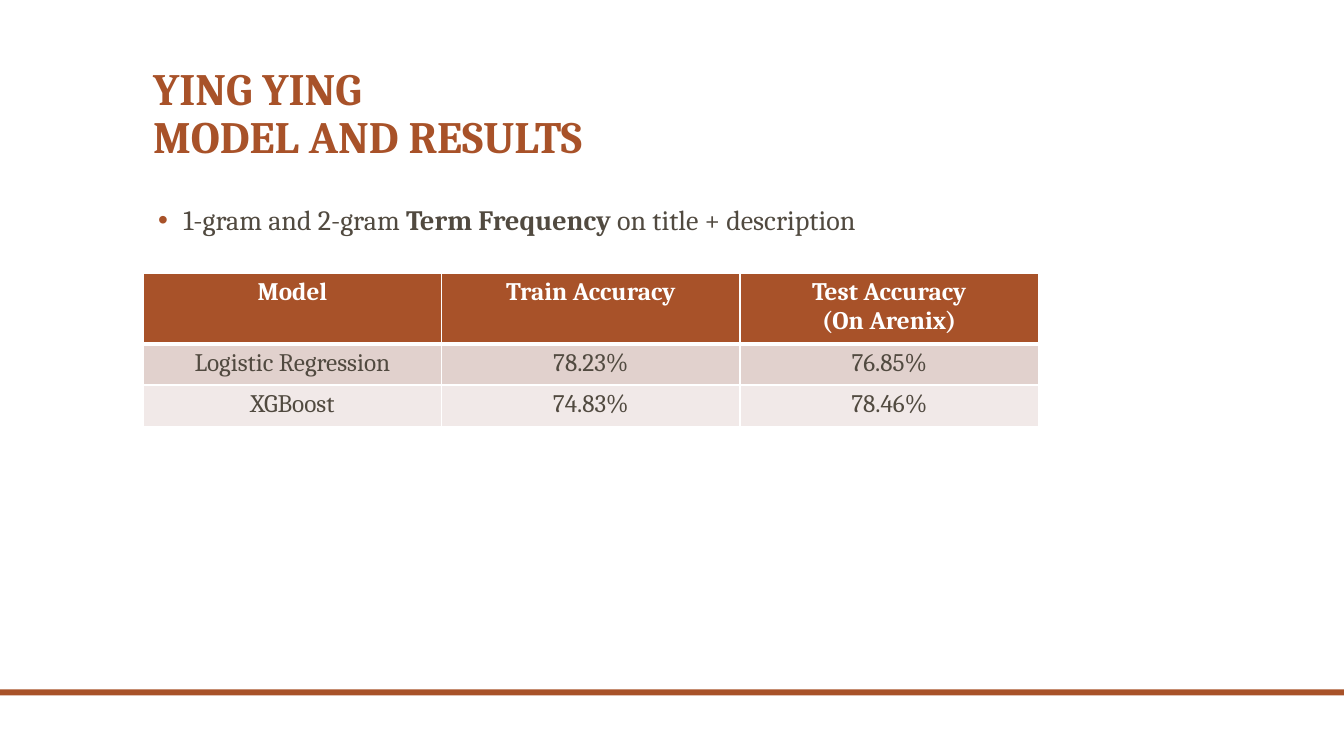
from dataclasses import dataclass

from lxml import etree
from pptx import Presentation
from pptx.dml.color import RGBColor
from pptx.enum.shapes import MSO_SHAPE
from pptx.enum.text import MSO_ANCHOR, PP_ALIGN
from pptx.oxml.ns import qn
from pptx.util import Inches, Pt

RECTANGLE = MSO_SHAPE.RECTANGLE
BOTTOM, TOP = MSO_ANCHOR.BOTTOM, MSO_ANCHOR.TOP
CENTER = PP_ALIGN.CENTER


@dataclass(frozen=True)
class Theme:
    font: str = "Cambria"
    accent: str = "A85229"
    text: str = "514A40"
    white: str = "FFFFFF"
    bands: tuple = ("E1D1CD", "F1E9E8")
    title_size: int = 32
    body_size: int = 20
    table_size: int = 18
    thin_border: int = 1
    thick_border: int = 3


THEME = Theme()
LEFT = Inches(1.42)
CONTENT_WIDTH = Inches(10.5)
COLUMN_WIDTH = Inches(2.96)
HEADER_HEIGHT, ROW_HEIGHT = Inches(0.67), Inches(0.41)

RESULTS = [
    ("Model", "Train Accuracy", "Test Accuracy\n(On Arenix)"),
    ("Logistic Regression", "78.23%", "76.85%"),
    ("XGBoost", "74.83%", "78.46%"),
]


def style_paragraph(paragraph, size, color, bold=None):
    font = paragraph.font
    font.name = THEME.font
    font.size = Pt(size)
    font.color.rgb = RGBColor.from_string(color)
    font.bold = bold


def add_text_frame(slide, top, height, anchor):
    text_frame = slide.shapes.add_textbox(LEFT, top, CONTENT_WIDTH, height).text_frame
    text_frame.word_wrap = True
    text_frame.vertical_anchor = anchor
    return text_frame


def add_footer_bar(slide, width):
    bar = slide.shapes.add_shape(RECTANGLE, 0, Inches(6.84), width, Inches(0.06))
    bar.shadow.inherit = False
    bar.fill.solid()
    bar.fill.fore_color.rgb = RGBColor.from_string(THEME.accent)
    bar.line.fill.background()


def add_title(slide, text):
    text_frame = add_text_frame(slide, Inches(0.42), Inches(1.25), BOTTOM)
    paragraph = text_frame.paragraphs[0]
    paragraph.text = text
    paragraph.line_spacing = 0.9
    style_paragraph(paragraph, THEME.title_size, THEME.accent, True)


def add_bullet(slide, runs):
    text_frame = add_text_frame(slide, Inches(2), Inches(4.5), TOP)
    paragraph = text_frame.paragraphs[0]
    paragraph.line_spacing = 0.9
    style_paragraph(paragraph, THEME.body_size, THEME.text)
    for text, bold in runs:
        run = paragraph.add_run()
        run.text = text
        run.font.bold = bold

    # Bullet mark and hanging indent, placed before the default run properties
    properties = paragraph._p.get_or_add_pPr()
    properties.set("marL", str(Inches(0.3)))
    properties.set("indent", str(Inches(-0.25)))
    bullet_color = etree.Element(qn("a:buClr"))
    etree.SubElement(bullet_color, qn("a:srgbClr"), val=THEME.accent)
    bullet_font = etree.Element(qn("a:buFont"), typeface="Arial")
    bullet_mark = etree.Element(qn("a:buChar"), char="•")
    default_run = properties.find(qn("a:defRPr"))
    for element in (bullet_color, bullet_font, bullet_mark):
        default_run.addprevious(element)


def set_borders(cell, widths):
    properties = cell._tc.get_or_add_tcPr()
    for position, (side, width) in enumerate(widths.items()):
        line = etree.Element(qn(f"a:ln{side}"), w=str(Pt(width)))
        fill = etree.SubElement(line, qn("a:solidFill"))
        etree.SubElement(fill, qn("a:srgbClr"), val=THEME.white)
        properties.insert(position, line)


def fill_cell(cell, text, row):
    is_header = row == 0
    background = THEME.accent if is_header else THEME.bands[(row - 1) % 2]
    cell.fill.solid()
    cell.fill.fore_color.rgb = RGBColor.from_string(background)
    cell.text = text
    for paragraph in cell.text_frame.paragraphs:
        paragraph.alignment = CENTER
        color = THEME.white if is_header else THEME.text
        style_paragraph(paragraph, THEME.table_size, color, is_header)

    widths = dict.fromkeys("LRTB", THEME.thin_border)
    if is_header:
        widths["B"] = THEME.thick_border
    elif row == 1:
        widths["T"] = THEME.thick_border
    set_borders(cell, widths)


def add_results_table(slide, rows):
    row_count, column_count = len(rows), len(rows[0])
    height = HEADER_HEIGHT + ROW_HEIGHT * (row_count - 1)
    table = slide.shapes.add_table(
        row_count, column_count, LEFT, Inches(2.71), COLUMN_WIDTH * column_count, height
    ).table
    for column in table.columns:
        column.width = COLUMN_WIDTH
    for row, values in enumerate(rows):
        table.rows[row].height = ROW_HEIGHT if row else HEADER_HEIGHT
        for column, text in enumerate(values):
            fill_cell(table.cell(row, column), text, row)


def main():
    presentation = Presentation()
    presentation.slide_width = Inches(13.33)
    presentation.slide_height = Inches(7.5)
    slide = presentation.slides.add_slide(presentation.slide_layouts[6])

    # Frame and heading
    add_footer_bar(slide, presentation.slide_width)
    add_title(slide, "YING YING\vMODEL AND RESULTS")

    # Features and scores
    add_bullet(slide, [
        ("1-gram and 2-gram ", False),
        ("Term Frequency ", True),
        ("on title + description", False),
    ])
    add_results_table(slide, RESULTS)

    presentation.save("out.pptx")


if __name__ == "__main__":
    main()
